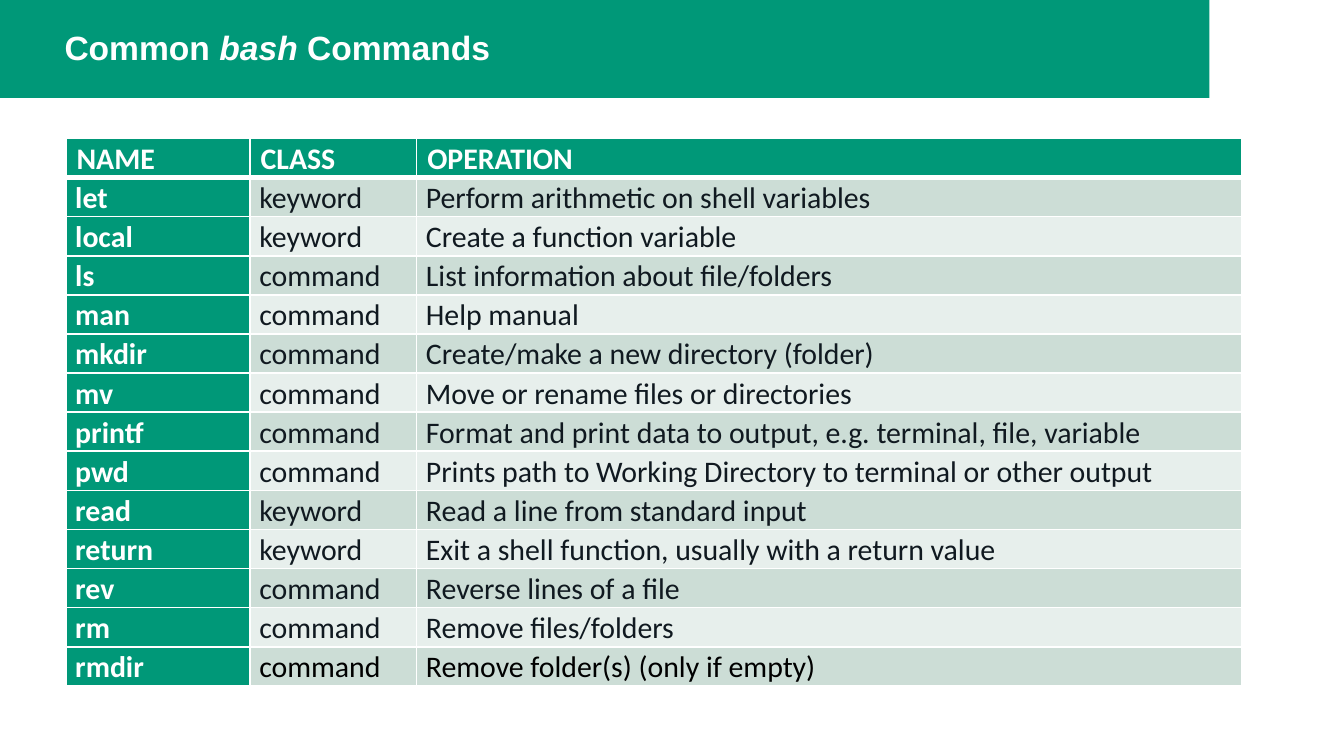
"""Build a slide with a table of common bash commands."""
from lxml.etree import SubElement
from pptx import Presentation
from pptx.dml.color import RGBColor
from pptx.enum.shapes import MSO_SHAPE
from pptx.enum.text import MSO_ANCHOR, PP_ALIGN
from pptx.oxml.ns import qn
from pptx.util import Pt

COLORS = {"green": "009878", "white": "FFFFFF", "ink": "101920",
          "black": "000000", "dark_band": "CCDDD6", "light_band": "E7EFEC"}
TITLE = [("Common ", False), ("bash", True), (" Commands", False)]
HEADER = ("NAME", "CLASS", "OPERATION")
COMMANDS = [
    ("let", "keyword", "Perform arithmetic on shell variables"),
    ("local", "keyword", "Create a function variable"),
    ("ls", "command", "List information about file/folders"),
    ("man", "command", "Help manual"),
    ("mkdir", "command", "Create/make a new directory (folder)"),
    ("mv", "command", "Move or rename files or directories"),
    ("printf", "command", "Format and print data to output, e.g. terminal, file, variable"),
    ("pwd", "command", "Prints path to Working Directory to terminal or other output"),
    ("read", "keyword", "Read a line from standard input"),
    ("return", "keyword", "Exit a shell function, usually with a return value"),
    ("rev", "command", "Reverse lines of a file"),
    ("rm", "command", "Remove files/folders"),
    ("rmdir", "command", "Remove folder(s) (only if empty)"),
]
COL_WIDTHS = (98.64, 89.28, 442.08)
ROW_HEIGHT = 20.9


def rgb(name):
    return RGBColor.from_string(COLORS[name])


def add_run(p, text, font, size, color, bold=False, italic=False):
    r = p.add_run()
    r.text = text
    r.font.name, r.font.size = font, Pt(size)
    r.font.bold, r.font.italic = bold, italic
    r.font.color.rgb = rgb(color)


def set_borders(cell, widths):
    tc_pr = cell._tc.get_or_add_tcPr()
    for side, width in zip("LRTB", widths):
        ln = SubElement(tc_pr, qn(f"a:ln{side}"), w=str(Pt(width)))
        fill = SubElement(ln, qn("a:solidFill"))
        SubElement(fill, qn("a:srgbClr"), val=COLORS["white"])


def fill_cell(cell, text, row, col):
    is_header = row == 0
    is_label = is_header or col == 0
    band = "dark_band" if row % 2 else "light_band"
    ink = "black" if row == len(COMMANDS) else "ink"
    set_borders(cell, (1, 1, 3 if row == 1 else 1, 3 if is_header else 1))
    cell.fill.solid()
    cell.fill.fore_color.rgb = rgb("green" if is_label else band)
    cell.margin_left = cell.margin_right = Pt(5.76 if is_header else 5.04)
    cell.margin_top = cell.margin_bottom = 0
    p = cell.text_frame.paragraphs[0]
    p.line_spacing, p.space_after = 1.07, Pt(8)
    add_run(p, text, "Calibri", 16, "white" if is_label else ink, is_label)


def main():
    prs = Presentation()
    prs.slide_width, prs.slide_height = Pt(720), Pt(405)
    s = prs.slides.add_slide(prs.slide_layouts[5])

    band = s.shapes.add_shape(MSO_SHAPE.RECTANGLE, 0, 0, Pt(648), Pt(52.56))
    band.shadow.inherit = False
    band.fill.solid()
    band.fill.fore_color.rgb = rgb("green")
    band.line.fill.background()

    title = s.shapes.title
    band._element.addnext(title._element)
    title.left, title.top, title.width, title.height = Pt(27.36), 0, Pt(620.64), Pt(53.28)
    tf = title.text_frame
    tf.vertical_anchor = MSO_ANCHOR.MIDDLE
    p = tf.paragraphs[0]
    p.alignment, p.line_spacing = PP_ALIGN.LEFT, 0.9
    for text, italic in TITLE:
        add_run(p, text, "Arial", 18, "white", True, italic)

    rows = [HEADER, *COMMANDS]
    table = s.shapes.add_table(len(rows), len(HEADER), Pt(35.28), Pt(74.16),
                               Pt(sum(COL_WIDTHS)), Pt(ROW_HEIGHT * len(rows))).table
    for column, width in zip(table.columns, COL_WIDTHS):
        column.width = Pt(width)
    for i, row in enumerate(rows):
        table.rows[i].height = Pt(ROW_HEIGHT)
        for j, text in enumerate(row):
            fill_cell(table.cell(i, j), text, i, j)

    prs.save("out.pptx")


if __name__ == "__main__":
    main()
